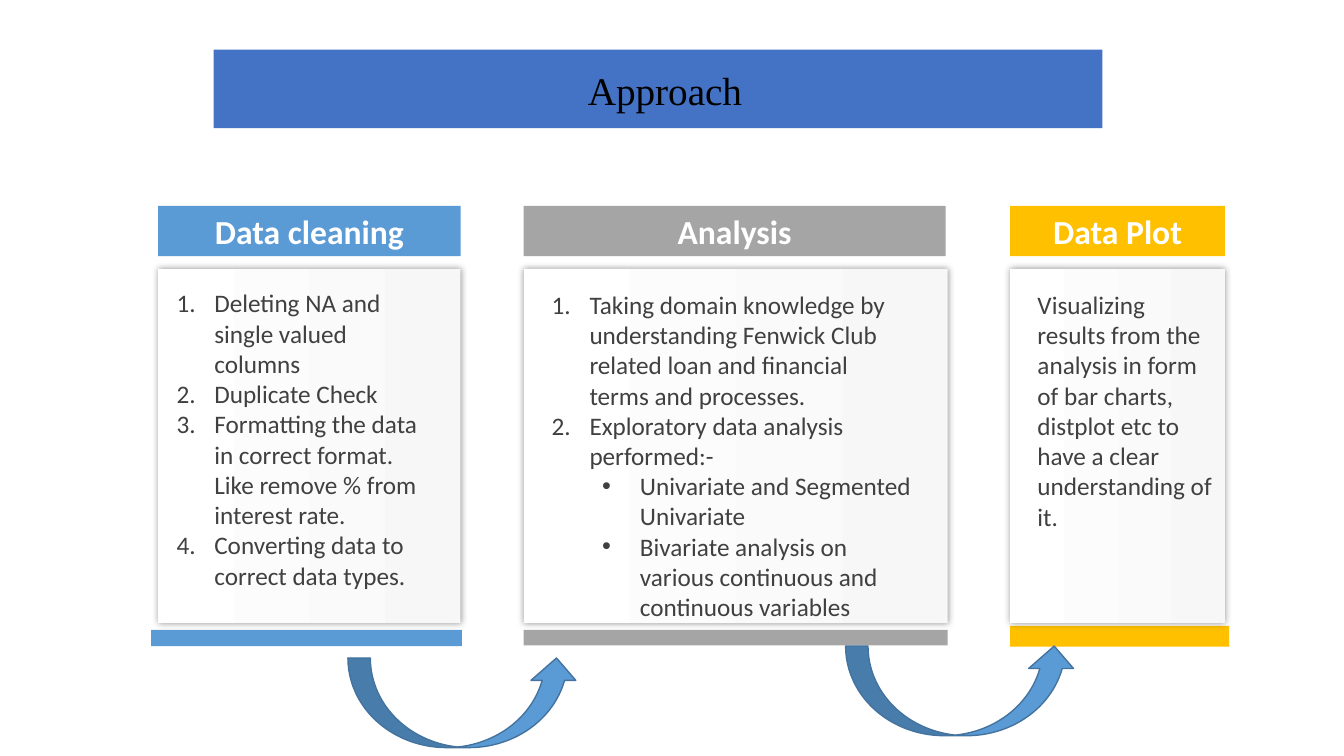
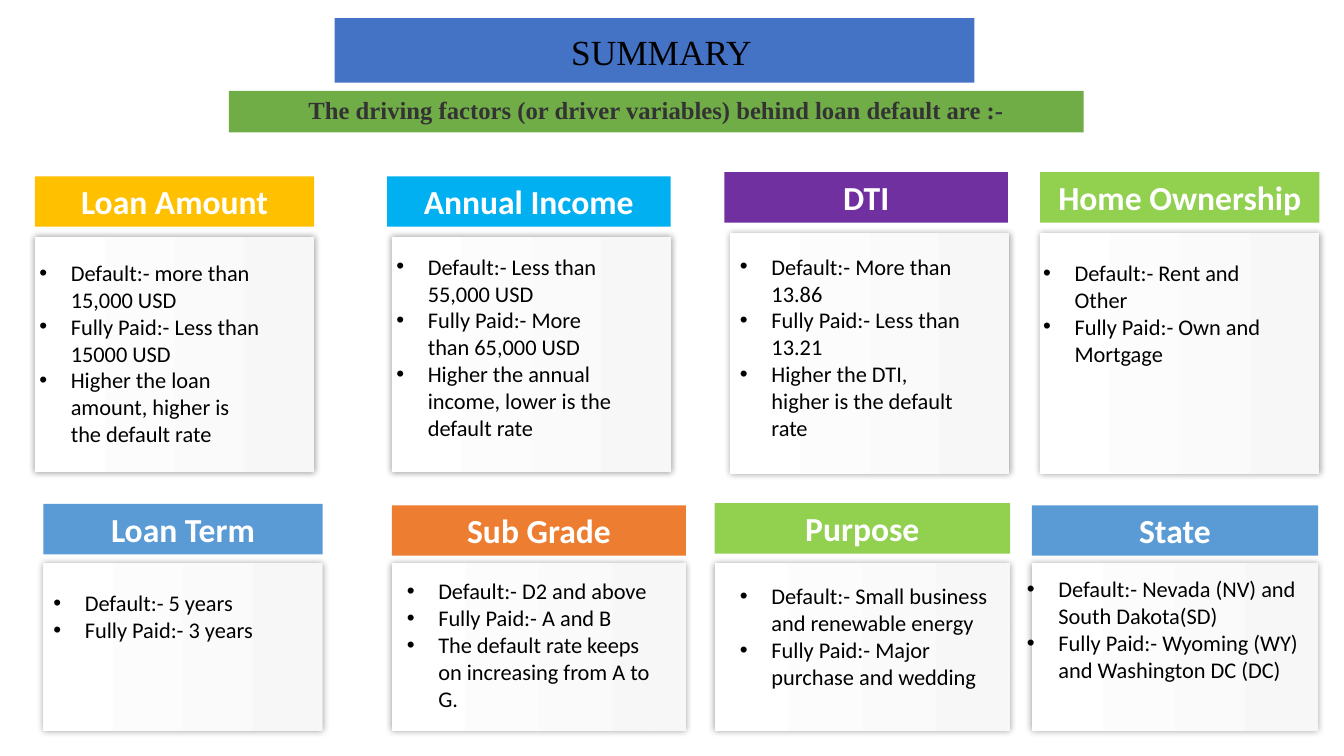
"""Build a two-slide deck on the approach and summary of a loan default study."""
from collections import namedtuple

from lxml.etree import SubElement as Sub
from pptx import Presentation
from pptx.dml.color import RGBColor as RGB
from pptx.enum.shapes import MSO_SHAPE as Kind
from pptx.enum.text import MSO_ANCHOR as Anchor, PP_ALIGN as Align
from pptx.oxml.ns import qn
from pptx.util import Pt

BLUE = RGB(0x44, 0x72, 0xC4)
SKY = RGB(0x5B, 0x9B, 0xD5)
NAVY = RGB(0x43, 0x73, 0x9E)
CYAN = RGB(0x00, 0xB0, 0xF0)
GRAY = RGB(0xA5, 0xA5, 0xA5)
GOLD = RGB(0xFF, 0xC0, 0x00)
RUST = RGB(0xED, 0x7D, 0x31)
PLUM = RGB(0x70, 0x30, 0xA0)
LIME = RGB(0x92, 0xD0, 0x50)
GREEN = RGB(0x70, 0xAD, 0x47)
PALE = RGB(0xF7, 0xF7, 0xF7)
WHITE = RGB(0xFF, 0xFF, 0xFF)
BLACK = RGB(0x00, 0x00, 0x00)
DARK = RGB(0x33, 0x33, 0x33)
SOFT = RGB(0x40, 0x40, 0x40)

SANS = "Calibri"
SERIF = "Times New Roman"
HEAD_H = 36

Mark = namedtuple("Mark", "sign left hang")
NUM = Mark(None, 27, 27)
INNER = Mark("•", 63, 27)
DOT = Mark("•", 22.5, 22.5)

Panel = namedtuple("Panel", "title color head card note items")

STEPS = [
    Panel("Data cleaning", SKY, (113, 147, 216), (113, 192, 216, 253),
          (119, 202, 190, 225),
          [("Deleting NA and single valued columns", NUM),
           ("Duplicate Check", NUM),
           ("Formatting the data in correct format. Like remove % from "
            "interest rate.", NUM),
           ("Converting data to correct data types.", NUM)]),
    Panel("Analysis", GRAY, (374, 147, 301.5), (374, 192, 303, 253),
          (387, 203, 271.5, 247),
          [("Taking domain knowledge by understanding Fenwick Club related "
            "loan and financial terms and processes.", NUM),
           ("Exploratory data analysis performed:-", NUM),
           ("Univariate and Segmented Univariate", INNER),
           ("Bivariate analysis on various continuous and continuous "
            "variables", INNER)]),
    Panel("Data Plot", GOLD, (721.5, 147, 153.5), (721.5, 192, 153.5, 253),
          (734, 203, 141, 181),
          [("Visualizing results from the analysis in form of bar charts, "
            "distplot etc to have a clear understanding of it.", None)]),
]
FEET = [(108, 450, 222, 11.5), (374, 450, 303, 11), (721.5, 447, 156.5, 15)]
ARROWS = [(248.5, 470), (604, 461.5)]


def dots(*lines):
    """Pair each line with the plain bullet."""
    return [(line, DOT) for line in lines]


FACTORS = [
    Panel("Loan Amount", GOLD, (25, 126, 199.5), (25, 169, 199.5, 168.5),
          (21, 181.5, 174, 143),
          dots("Default:- more than 15,000 USD",
               "Fully Paid:- Less than 15000 USD",
               "Higher the loan amount, higher is the default rate")),
    Panel("Annual Income", CYAN, (276.5, 126, 202.5),
          (280, 169, 199.5, 168.5), (276, 177, 174, 143),
          dots("Default:- Less than 55,000 USD",
               "Fully Paid:- More than 65,000 USD",
               "Higher the annual income, lower is the default rate")),
    Panel("DTI", PLUM, (517.5, 123, 202.5), (521.5, 166.5, 199.5, 172),
          (521.5, 177, 174, 143),
          dots("Default:- More than 13.86",
               "Fully Paid:- Less than 13.21",
               "Higher the DTI, higher is the default rate")),
    Panel("Home Ownership", LIME, (743, 123, 199.5),
          (743, 166.5, 199.5, 172), (738, 181.5, 174, 85),
          dots("Default:- Rent and Other",
               "Fully Paid:- Own and Mortgage")),
    Panel("Loan Term", SKY, (31, 360, 199.5), (31, 402.5, 199.5, 119.5),
          (31, 417.5, 174, 46),
          dots("Default:- 5 years", "Fully Paid:- 3 years")),
    Panel("Sub Grade", RUST, (280, 361, 210), (280, 402.5, 210, 119.5),
          (283.5, 409, 199.5, 124),
          dots("Default:- D2 and above",
               "Fully Paid:- A and B",
               "The default rate keeps on increasing from A to G.")),
    Panel("Purpose", LIME, (510.5, 359.5, 211), (510.5, 402.5, 211, 119.5),
          (521.5, 412.5, 199.5, 85),
          dots("Default:- Small business and renewable energy",
               "Fully Paid:- Major purchase and wedding")),
    Panel("State", SKY, (737, 361, 204.5), (737, 402.5, 204.5, 119.5),
          (726.5, 407.5, 210, 85),
          dots("Default:- Nevada (NV) and South Dakota(SD)",
               "Fully Paid:- Wyoming (WY) and Washington DC (DC)")),
]


def pts(box):
    """Turn plain numbers into point lengths."""
    return [Pt(n) for n in box]


def list_mark(para, mark):
    """Give a paragraph its hanging indent and its number or bullet."""
    props = para._p.get_or_add_pPr()
    props.set("marL", str(int(Pt(mark.left))))
    props.set("indent", str(int(Pt(-mark.hang))))
    if mark.sign:
        Sub(props, qn("a:buFont"), typeface="Arial")
        Sub(props, qn("a:buChar"), char=mark.sign)
    else:
        Sub(props, qn("a:buFont"), typeface="+mj-lt")
        Sub(props, qn("a:buAutoNum"), type="arabicPeriod")


def write(shape, items, *, size, color, font=SANS, bold=False,
          align=Align.LEFT, anchor=Anchor.TOP, space=None):
    """Fill a shape with paragraphs of one format."""
    frame = shape.text_frame
    frame.word_wrap = True
    frame.vertical_anchor = anchor
    for i, (text, mark) in enumerate(items):
        para = frame.add_paragraph() if i else frame.paragraphs[0]
        para.alignment = align
        if space:
            para.line_spacing = space
        if mark:
            list_mark(para, mark)
        run = para.add_run()
        run.text = text
        run.font.name = font
        run.font.size = Pt(size)
        run.font.bold = bold
        run.font.color.rgb = color


def block(slide, box, color, kind=Kind.RECTANGLE):
    """Draw a flat shape with no outline."""
    shape = slide.shapes.add_shape(kind, *pts(box))
    shape.shadow.inherit = False
    shape.fill.solid()
    shape.fill.fore_color.rgb = color
    shape.line.fill.background()
    return shape


def band(slide, box, text, fill, size, color=BLACK, bold=False):
    """Draw a serif band for a title or subtitle."""
    shape = block(slide, box, fill)
    write(shape, [(text, None)], size=size, color=color, font=SERIF,
          bold=bold, align=Align.CENTER, anchor=Anchor.MIDDLE, space=0.9)
    return shape


def title(slide, box, text, size):
    """Draw the title band with its text set a little low and right."""
    frame = band(slide, box, text, BLUE, size).text_frame
    frame.margin_left = Pt(17)
    frame.margin_top = Pt(9)


def card(slide, box):
    """Draw a pale gradient card with a soft shadow."""
    shape = block(slide, box, WHITE)
    shape.fill.gradient()
    shape.fill.gradient_angle = 180
    for stop, color in zip(shape.fill.gradient_stops, (PALE, WHITE)):
        stop.color.rgb = color
    effects = shape._element.spPr.find(qn("a:effectLst"))
    glow = Sub(effects, qn("a:outerShdw"), blurRad=str(int(Pt(5))),
               dist="0", dir="0", algn="ctr", rotWithShape="0")
    tint = Sub(glow, qn("a:srgbClr"), val="000000")
    Sub(tint, qn("a:alpha"), val="40000")


def panel(slide, part, size, color):
    """Draw a heading, its card and the notes on it."""
    head = block(slide, (*part.head, HEAD_H), part.color)
    write(head, [(part.title, None)], size=24, color=WHITE, bold=True,
          align=Align.CENTER)
    card(slide, part.card)
    note = slide.shapes.add_textbox(*pts(part.note))
    write(note, part.items, size=size, color=color)


def arrow(slide, spot):
    """Draw a curved arrow from one step to the next."""
    shape = block(slide, (*spot, 165, 64), SKY, Kind.CURVED_UP_ARROW)
    shape.line.color.rgb = NAVY
    shape.line.width = Pt(1)


def approach(slide):
    """Lay out the three steps of the approach."""
    title(slide, (152.5, 35.5, 635, 56), "Approach", 28)
    for step, foot in zip(STEPS, FEET):
        block(slide, foot, step.color)
        panel(slide, step, 18, SOFT)
    for spot in ARROWS:
        arrow(slide, spot)


def summary(slide):
    """Lay out the eight factors behind loan default."""
    for part in FACTORS:
        panel(slide, part, 16, BLACK)
    title(slide, (239, 13, 457, 46), "SUMMARY", 25.2)
    band(slide, (163.5, 65, 610.5, 29.5),
         "The driving factors (or driver variables) behind loan default "
         "are :-", GREEN, 17.6, DARK, True)


def main():
    """Build and save the deck."""
    deck = Presentation()
    deck.slide_width, deck.slide_height = Pt(960), Pt(540)
    for fill in (approach, summary):
        fill(deck.slides.add_slide(deck.slide_layouts[6]))
    deck.save("out.pptx")


if __name__ == "__main__":
    main()
